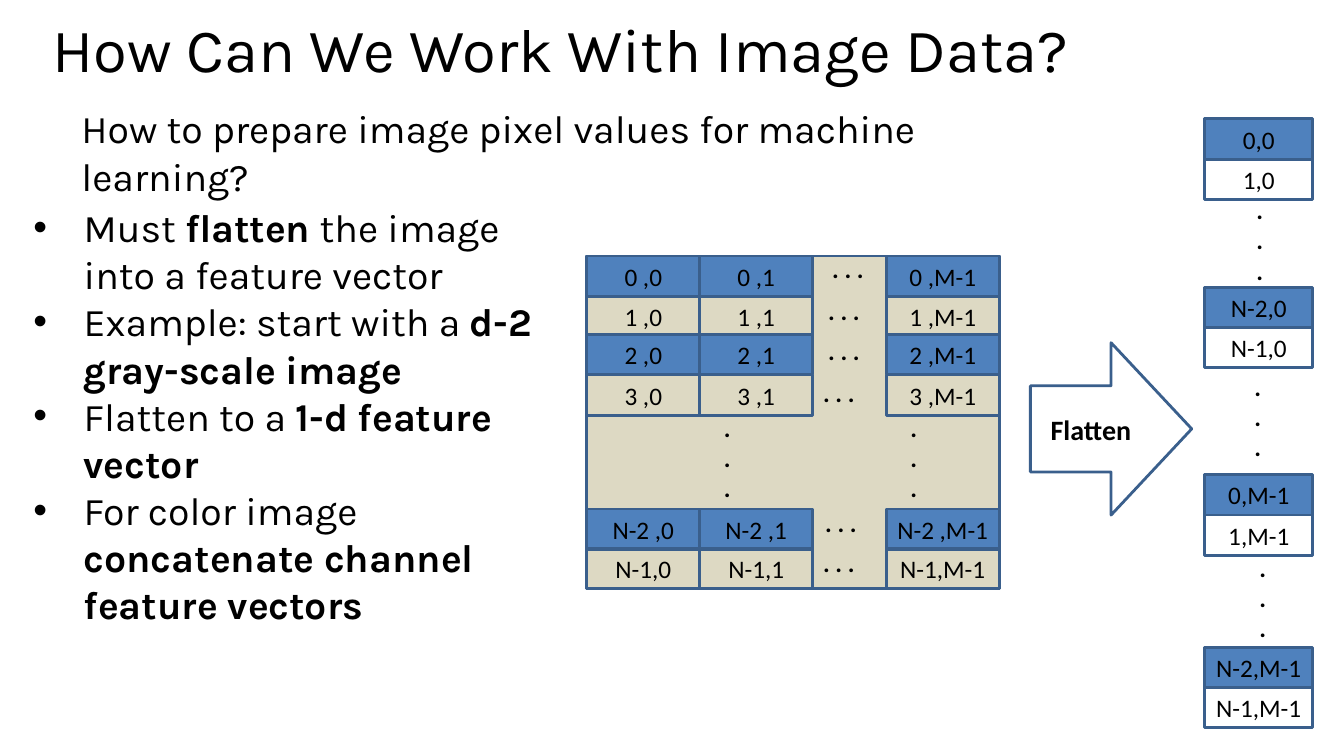
"""Build a slide showing how an image matrix is flattened into a feature vector."""
import dataclasses

import pptx
import pptx.dml.color
import pptx.enum.shapes
import pptx.enum.text
import pptx.util

Inches = pptx.util.Inches
Pt = pptx.util.Pt
Shapes = pptx.enum.shapes.MSO_SHAPE
Align = pptx.enum.text.PP_ALIGN
Anchor = pptx.enum.text.MSO_ANCHOR
AutoSize = pptx.enum.text.MSO_AUTO_SIZE

BLUE, TAN, OUTLINE, BLACK = "4F81BD", "DDD9C3", "3A5F8C", "000000"
CELL_HEIGHT = 0.4
MATRIX_LEFT, MATRIX_TOP, MATRIX_CELL_WIDTH = 5.82, 2.54, 1.12
VECTOR_LEFT, VECTOR_CELL_WIDTH = 11.95, 1.07


@dataclasses.dataclass(frozen=True)
class Row:
    label: str
    top: float
    filled: bool


@dataclasses.dataclass(frozen=True)
class Column:
    label: str
    left: float


@dataclasses.dataclass(frozen=True)
class Dots:
    left: float
    top: float
    width: float
    vertical: bool


ROWS = [
    Row("0 ,", 2.54, True),
    Row("1 ,", 2.94, False),
    Row("2 ,", 3.32, True),
    Row("3 ,", 3.72, False),
    Row("N-2 ,", 5.05, True),
    Row("N-1,", 5.44, False),
]
COLUMNS = [
    Column("0", MATRIX_LEFT),
    Column("1", MATRIX_LEFT + MATRIX_CELL_WIDTH),
    Column("M-1", 8.79),
]
VECTOR_PAIRS = [
    (1.18, "0,0", "1,0"),
    (2.85, "N-2,0", "N-1,0"),
    (4.71, "0,M-1", "1,M-1"),
    (6.42, "N-2,M-1", "N-1,M-1"),
]
DOTS = [
    Dots(12.45, 1.88, 0.11, True),
    Dots(12.43, 3.63, 0.11, True),
    Dots(12.49, 5.43, 0.05, True),
    Dots(7.18, 4.04, 0.05, True),
    Dots(9.03, 4.04, 0.05, True),
    Dots(8.05, 2.46, 0.72, False),
    Dots(8.01, 2.88, 0.72, False),
    Dots(8.01, 3.28, 0.72, False),
    Dots(7.96, 3.69, 0.72, False),
    Dots(7.98, 4.98, 0.72, False),
    Dots(7.96, 5.38, 0.72, False),
]
BULLETS = [
    [("Must ", False), ("flatten", True), (" the image into a feature vector", False)],
    [("Example: start with a ", False), ("d-2 gray-scale image", True)],
    [("Flatten to a ", False), ("1-d feature vector", True)],
    [("For color image ", False), ("concatenate channel feature vectors", True)],
]


def colour(value: str) -> pptx.dml.color.RGBColor:
    """Turn a hex string into a colour."""
    return pptx.dml.color.RGBColor.from_string(value)


def style(span, size: float, name: str, bold: bool = False) -> None:
    """Format one run in black."""
    span.font.size = Pt(size)
    span.font.name = name
    span.font.bold = bold
    span.font.color.rgb = colour(BLACK)


def style_frame(frame, size: float, name: str, bold: bool = False) -> None:
    """Format every run of a text frame."""
    for para in frame.paragraphs:
        for span in para.runs:
            style(span, size, name, bold)


def place(box, left: float, top: float, width: float, height: float) -> None:
    """Move and size a placeholder."""
    box.left, box.top = Inches(left), Inches(top)
    box.width, box.height = Inches(width), Inches(height)


def add_outlined(page, kind, left: float, top: float, width: float, height: float,
                 fill: str = "", text: str = "", size: float = 18, bold: bool = False) -> None:
    """Draw an outlined shape with an optional fill and centred label."""
    box = page.shapes.add_shape(kind, Inches(left), Inches(top), Inches(width), Inches(height))
    box.shadow.inherit = False
    if fill:
        box.fill.solid()
        box.fill.fore_color.rgb = colour(fill)
    else:
        box.fill.background()
    box.line.color.rgb = colour(OUTLINE)
    box.line.width = Pt(2)
    if text:
        frame = box.text_frame
        frame.text = text
        frame.word_wrap = False
        frame.vertical_anchor = Anchor.MIDDLE
        frame.paragraphs[0].alignment = Align.CENTER
        style_frame(frame, size, "Calibri", bold)


def add_dots(page, dots: Dots) -> None:
    """Draw a vertical or horizontal ellipsis."""
    height = 1.01 if dots.vertical else CELL_HEIGHT
    box = page.shapes.add_textbox(Inches(dots.left), Inches(dots.top), Inches(dots.width), Inches(height))
    frame = box.text_frame
    frame.word_wrap = False
    frame.auto_size = AutoSize.SHAPE_TO_FIT_TEXT
    frame.text = ".\n.\n." if dots.vertical else ". . ."
    if not dots.vertical:
        frame.paragraphs[0].alignment = Align.CENTER
    style_frame(frame, 18, "Calibri", True)


def add_texts(page) -> None:
    """Fill the title, the bullet list and the question."""
    title = page.shapes.title
    place(title, 0.42, 0.2, 12.6, 0.85)
    title.text_frame.text = "How Can We Work With Image Data?"
    title.text_frame.vertical_anchor = Anchor.TOP
    title.text_frame.auto_size = AutoSize.NONE
    title.text_frame.paragraphs[0].alignment = Align.LEFT
    title.text_frame.paragraphs[0].line_spacing = 0.8
    style_frame(title.text_frame, 44, "Karla")

    body = page.placeholders[1]
    place(body, 0.23, 1.97, 5.38, 5.01)
    frame = body.text_frame
    frame.auto_size = AutoSize.NONE
    for index, parts in enumerate(BULLETS):
        para = frame.add_paragraph() if index else frame.paragraphs[0]
        para.space_before = Pt(0)
        properties = para._p.get_or_add_pPr()
        properties.set("marL", str(Inches(0.5)))
        properties.set("indent", str(Inches(-0.5)))
        for text, bold in parts:
            span = para.add_run()
            span.text = text
            style(span, 28, "Karla", bold)

    question = page.shapes.add_textbox(Inches(0.71), Inches(0.99), Inches(10.06), Inches(0.88))
    question.text_frame.word_wrap = True
    question.text_frame.text = "How to prepare image pixel values for machine learning?"
    style_frame(question.text_frame, 28, "Karla")


def main() -> None:
    """Build and save the deck."""
    deck = pptx.Presentation()
    deck.slide_width, deck.slide_height = Inches(13.33), Inches(7.5)
    page = deck.slides.add_slide(deck.slide_layouts[1])
    add_texts(page)
    add_outlined(page, Shapes.RECTANGLE, MATRIX_LEFT, MATRIX_TOP, 4.09, 3.3, TAN)
    for column in COLUMNS:
        for row in ROWS:
            add_outlined(page, Shapes.RECTANGLE, column.left, row.top, MATRIX_CELL_WIDTH, CELL_HEIGHT,
                         BLUE if row.filled else "", row.label + column.label)
    for top, upper, lower in VECTOR_PAIRS:
        for offset, fill, text in ((0, BLUE, upper), (CELL_HEIGHT, "", lower)):
            add_outlined(page, Shapes.RECTANGLE, VECTOR_LEFT, top + offset, VECTOR_CELL_WIDTH, CELL_HEIGHT, fill, text)
    for dots in DOTS:
        add_dots(page, dots)
    add_outlined(page, Shapes.RIGHT_ARROW, 10.22, 3.4, 1.6, 1.71, text="Flatten", size=20, bold=True)
    deck.save("out.pptx")


if __name__ == "__main__":
    main()
